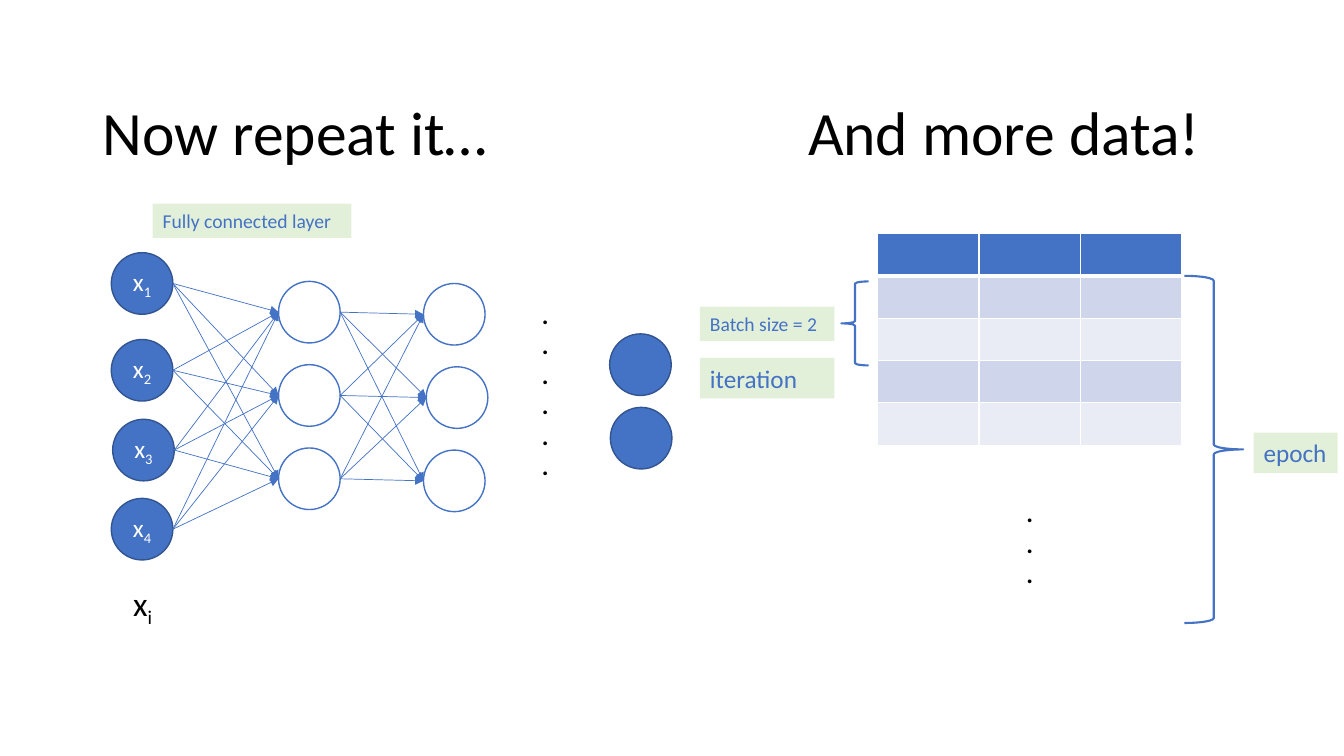
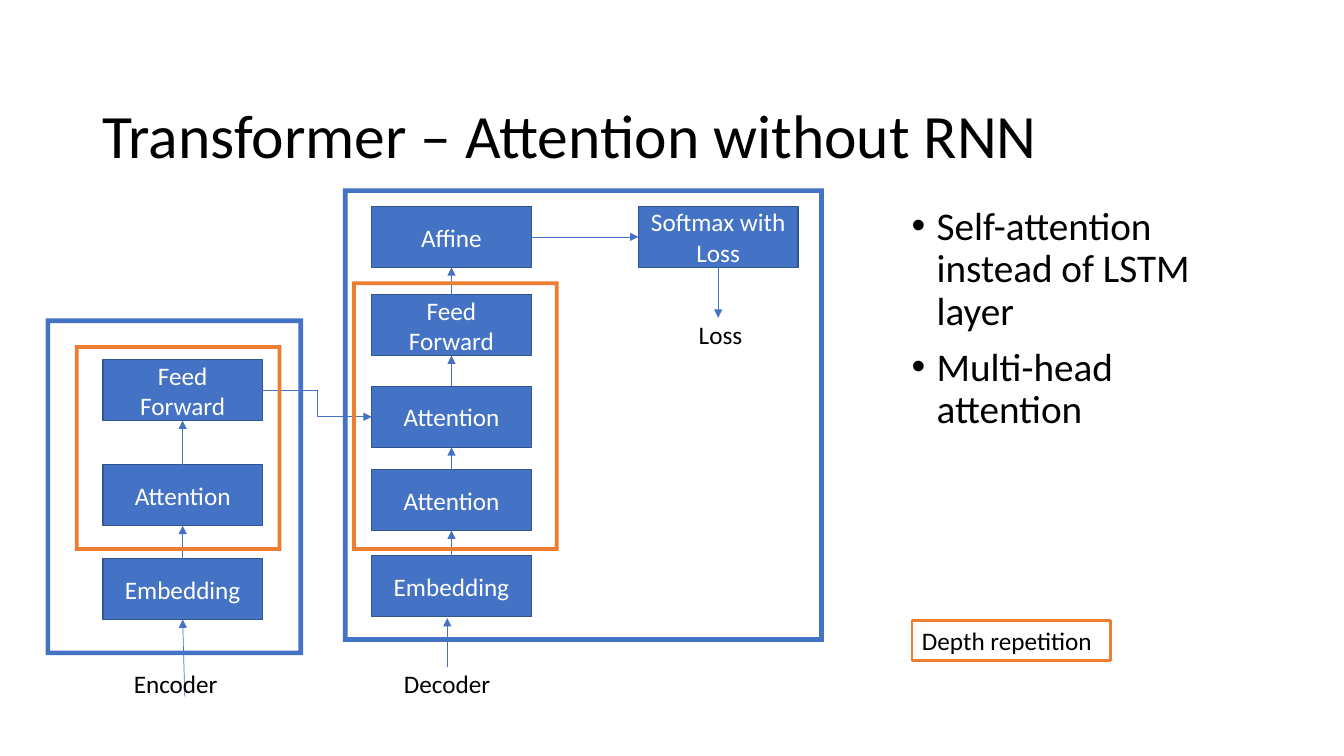
from lxml.etree import SubElement
from pptx import Presentation
from pptx.dml.color import RGBColor
from pptx.enum.shapes import MSO_CONNECTOR as Link, MSO_SHAPE as Form
from pptx.enum.text import MSO_ANCHOR as Anchor, MSO_AUTO_SIZE as Fit, PP_ALIGN as Align
from pptx.oxml.ns import qn
from pptx.util import Pt

TOP, LEFT, BOTTOM, RIGHT = range(4)


def color(value):
    return RGBColor.from_string(value)


class Sketch:
    """Holds the shared style and the slide being drawn."""
    FONT = "Calibri"
    BLUE, EDGE, ORANGE = "4472C4", "325491", "ED7D31"
    MINT, WHITE, BLACK = "E2F0D9", "FFFFFF", "000000"
    BANDS = ("CFD5EA", "E9EBF5")
    NODE = 44
    BLOCK = (114, 43.5)

    def __init__(self):
        self.deck = Presentation()
        self.deck.slide_width, self.deck.slide_height = Pt(960), Pt(540)
        self.page = None

    # Text
    def span(self, para, words, size, ink, bold=False):
        span = para.add_run()
        span.text = words
        span.font.name, span.font.size, span.font.bold = self.FONT, Pt(size), bold
        span.font.color.rgb = color(ink)
        return span

    def put_text(self, box, lines, size, ink, align=Align.LEFT, anchor=Anchor.TOP,
                 wrap=True, bold=False, sub=""):
        frame = box.text_frame
        frame.word_wrap, frame.vertical_anchor = wrap, anchor
        for index, words in enumerate(lines):
            para = frame.add_paragraph() if index else frame.paragraphs[0]
            para.alignment = align
            self.span(para, words, size, ink, bold)
        if sub:
            lowered = self.span(para, sub, size, ink, bold)
            lowered._r.get_or_add_rPr().set("baseline", "-25000")

    def new_page(self, words, top, height, tab=None):
        self.page = self.deck.slides.add_slide(self.deck.slide_layouts[5])
        title = self.page.shapes.title
        title.left, title.top, title.width, title.height = map(Pt, (66, top, 828, height))
        title.text_frame.auto_size = Fit.NONE
        para = title.text_frame.paragraphs[0]
        if tab:
            stops = SubElement(para._p.get_or_add_pPr(), qn("a:tabLst"))
            SubElement(stops, qn("a:tab"), pos=str(Pt(tab)), algn="l")
        para.line_spacing = 0.9
        self.put_text(title, [words], 44, self.BLACK, anchor=Anchor.MIDDLE)

    def text(self, area, lines, size=18, **style):
        box = self.page.shapes.add_textbox(*map(Pt, area))
        self.put_text(box, lines, size, self.BLACK, wrap=False, **style)

    def bullets(self, area, lines, size):
        box = self.page.shapes.add_textbox(*map(Pt, area))
        self.put_text(box, lines, size, self.BLACK)
        for index, para in enumerate(box.text_frame.paragraphs):
            props = para._p.get_or_add_pPr()
            props.set("marL", str(Pt(18)))
            props.set("indent", str(-Pt(18)))
            SubElement(props, qn("a:buFont"), typeface="Arial")
            SubElement(props, qn("a:buChar"), char="•")
            para.line_spacing = 0.9
            para.space_before = Pt(10 if index else 0)

    # Shapes
    def shape(self, form, area, fill=None, line=None, weight=1):
        box = self.page.shapes.add_shape(form, *map(Pt, area))
        box.shadow.inherit = False
        if fill:
            box.fill.solid()
            box.fill.fore_color.rgb = color(fill)
        else:
            box.fill.background()
        if line:
            box.line.color.rgb = color(line)
            box.line.width = Pt(weight)
        else:
            box.line.fill.background()
        return box

    def node(self, left, top, sub=""):
        box = self.shape(Form.OVAL, (left, top, self.NODE, self.NODE), self.BLUE, self.EDGE)
        if sub:
            self.put_text(box, ["x"], 18, self.WHITE, Align.CENTER, Anchor.MIDDLE, sub=sub)

    def hollow_node(self, left, top):
        self.shape(Form.OVAL, (left, top, self.NODE, self.NODE), self.WHITE, self.BLUE)

    def block(self, left, top, words):
        box = self.shape(Form.RECTANGLE, (left, top, *self.BLOCK), self.BLUE, self.EDGE)
        self.put_text(box, [words], 18, self.WHITE, Align.CENTER, Anchor.MIDDLE)
        return box

    def label(self, area, words, size):
        box = self.shape(Form.RECTANGLE, area, self.MINT)
        self.put_text(box, [words], size, self.BLUE)

    def legend(self, area, words):
        box = self.shape(Form.RECTANGLE, area, line=self.ORANGE, weight=2)
        self.put_text(box, [words], 18, self.BLACK, wrap=False)

    def brace(self, form, area):
        self.shape(form, area, line=self.BLUE, weight=1.5)

    def frame(self, area, fill, thickness):
        box = self.shape(Form.FRAME, area, fill)
        box.adjustments[0] = thickness / min(area[2:])

    # Arrows: an end is a point, or a shape with one of its sides
    def arrow(self, start, end, kind=Link.STRAIGHT):
        joined = [hasattr(point[0], "shape_id") for point in (start, end)]
        spots = [(0, 0) if held else point for held, point in zip(joined, (start, end))]
        line = self.page.shapes.add_connector(kind, *map(Pt, spots[0] + spots[1]))
        if joined[0]:
            line.begin_connect(*start)
        if joined[1]:
            line.end_connect(*end)
        line.line.color.rgb = color(self.BLUE)
        line.line.width = Pt(0.5)
        SubElement(line.line._get_or_add_ln(), qn("a:tailEnd"), type="triangle")
        SubElement(line._element.spPr, qn("a:effectLst"))

    def connect_layers(self, sources, targets):
        half = self.NODE / 2
        for left, top in sources:
            for next_left, next_top in targets:
                self.arrow((left + self.NODE, top + half), (next_left, next_top + half))

    # Table
    def grid(self, area, rows, columns):
        table = self.page.shapes.add_table(rows, columns, *map(Pt, area)).table
        for row in range(rows):
            for column in range(columns):
                cell = table.cell(row, column)
                props = cell._tc.get_or_add_tcPr()
                for side in ("lnL", "lnR", "lnT", "lnB"):
                    heavy = (row, side) in ((0, "lnB"), (1, "lnT"))
                    edge = SubElement(props, qn("a:" + side), w=str(Pt(3 if heavy else 1)))
                    paint = SubElement(edge, qn("a:solidFill"))
                    SubElement(paint, qn("a:srgbClr"), val=self.WHITE)
                cell.fill.solid()
                band = self.BANDS[(row - 1) % 2] if row else self.BLUE
                cell.fill.fore_color.rgb = color(band)


def draw_training(sketch):
    sketch.new_page("Now repeat it…\tAnd more data!", 60, 73.5, tab=504)

    # Data table with batch and epoch marks
    sketch.grid((627, 167, 217, 151), 5, 3)
    sketch.text((726, 352, 19.5, 73), ["."] * 3, bold=True)
    sketch.brace(Form.LEFT_BRACE, (601, 201, 19.5, 60))
    sketch.brace(Form.RIGHT_BRACE, (846, 197, 42, 248))
    for area, words, size in (
        ((109, 145.5, 142, 24.5), "Fully connected layer", 14),
        ((500, 219, 96, 24.5), "Batch size = 2", 14),
        ((500, 255.6, 96, 29), "iteration", 18),
        ((895.5, 309, 60, 29), "epoch", 18),
    ):
        sketch.label(area, words, size)

    # Network
    inputs = [(79.5, 180.5), (79.5, 242.5), (80.5, 299.5), (79.5, 356)]
    hidden = [(199, 201), (199, 260.5), (199, 320)]
    deeper = [(302.5, 202.5), (304.5, 262), (302.5, 321.5)]
    for number, spot in enumerate(inputs, 1):
        sketch.node(*spot, sub=str(number))
    for spot in hidden + deeper:
        sketch.hollow_node(*spot)
    for spot in ((435.5, 238.5), (436, 291)):
        sketch.node(*spot)
    sketch.connect_layers(inputs, hidden)
    sketch.connect_layers(hidden, deeper)
    sketch.text((380, 210, 19.5, 138), ["."] * 6, bold=True)
    sketch.text((88, 412.5, 29, 36), ["x"], 24, sub="i")


def draw_transformer(sketch):
    sketch.new_page("Transformer – Attention without RNN", 65.5, 67.5)
    sketch.bullets((644, 144, 250.5, 222.5),
                   ["Self-attention instead of LSTM layer", "Multi-head attention"], 28)

    # Block stacks, bottom to top
    encoder = [sketch.block(73.5, top, words) for top, words in (
        (399, "Embedding"), (332, "Attention"), (257, "Feed Forward"))]
    decoder = [sketch.block(265.5, top, words) for top, words in (
        (397, "Embedding"), (335.5, "Attention"), (276, "Attention"),
        (210.5, "Feed Forward"), (147.5, "Affine"))]
    softmax = sketch.block(456, 147.5, "Softmax with Loss")

    # Arrows
    for stack in (encoder, decoder):
        for lower, upper in zip(stack, stack[1:]):
            sketch.arrow((lower, TOP), (upper, BOTTOM))
    sketch.arrow((decoder[-1], RIGHT), (softmax, LEFT))
    sketch.arrow((softmax, BOTTOM), (513, 227))
    sketch.arrow((132, 497.5), (encoder[0], BOTTOM))
    sketch.arrow((319.5, 476.5), (319.5, 441.5))
    sketch.arrow((encoder[-1], RIGHT), (decoder[2], LEFT), Link.ELBOW)

    # Frames: whole stacks in blue, repeated parts in orange
    for area in ((32.5, 227.5, 184, 240.5), (245, 134.5, 343.5, 324)):
        sketch.frame(area, sketch.BLUE, 3.3)
    for area in ((53.5, 246.5, 147.5, 147), (251.5, 201, 147.5, 192.5)):
        sketch.frame(area, sketch.ORANGE, 2.7)

    # Captions
    for area, words in (((88.5, 474, 75, 29), "Encoder"),
                        ((281.5, 473.5, 77, 29), "Decoder"),
                        ((492, 224.5, 46, 29), "Loss")):
        sketch.text(area, [words])
    sketch.legend((651.5, 443, 142, 29), "Depth repetition")


def main():
    sketch = Sketch()
    draw_training(sketch)
    draw_transformer(sketch)
    sketch.deck.save("out.pptx")


if __name__ == "__main__":
    main()
